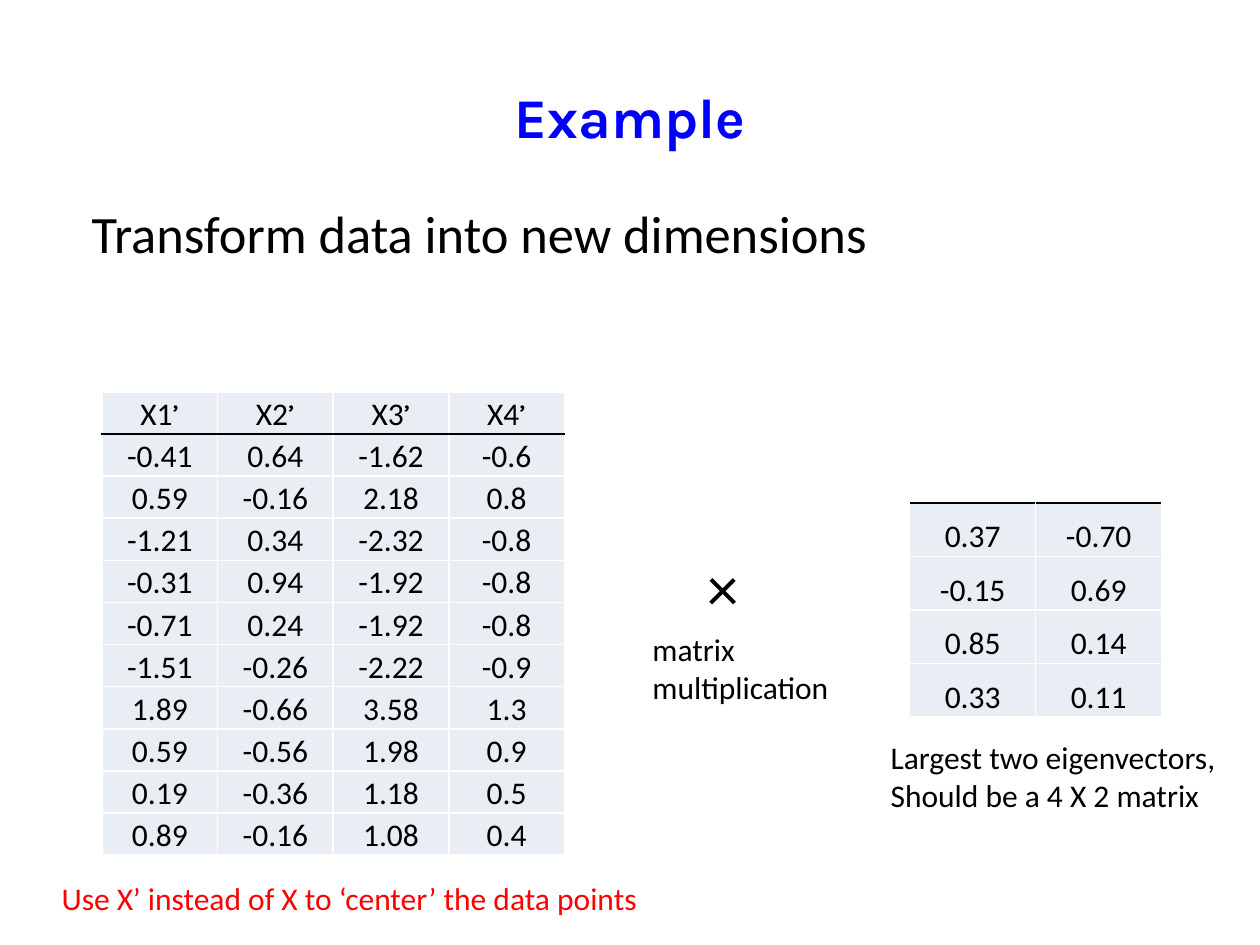
from pptx import Presentation
from pptx.dml.color import RGBColor as RGB
from pptx.enum.text import MSO_ANCHOR as Anchor, MSO_AUTO_SIZE as Auto, PP_ALIGN as Align
from pptx.oxml import parse_xml
from pptx.oxml.ns import nsdecls
from pptx.util import Inches, Pt

COLORS = {"title": "0000FF", "text": "000000", "note": "FF0000",
          "cell": "E9EDF4", "grid": "FFFFFF", "rule": "000000"}
BODY, HEAD = "Calibri", "Karla"

DATA = [
    ["X1’", "X2’", "X3’", "X4’"],
    ["-0.41", "0.64", "-1.62", "-0.6"],
    ["0.59", "-0.16", "2.18", "0.8"],
    ["-1.21", "0.34", "-2.32", "-0.8"],
    ["-0.31", "0.94", "-1.92", "-0.8"],
    ["-0.71", "0.24", "-1.92", "-0.8"],
    ["-1.51", "-0.26", "-2.22", "-0.9"],
    ["1.89", "-0.66", "3.58", "1.3"],
    ["0.59", "-0.56", "1.98", "0.9"],
    ["0.19", "-0.36", "1.18", "0.5"],
    ["0.89", "-0.16", "1.08", "0.4"],
]
VECTORS = [["0.37", "-0.70"], ["-0.15", "0.69"], ["0.85", "0.14"], ["0.33", "0.11"]]


def style(run, size=18, color="text", font=BODY, bold=False):
    run.font.size = Pt(size)
    run.font.name = font
    run.font.bold = bold
    run.font.color.rgb = RGB.from_string(COLORS[color])


def add_text(slide, box, text, wrap=True, align=Align.LEFT, anchor=Anchor.TOP,
             grow=True, **look):
    frame = slide.shapes.add_textbox(*map(Inches, box)).text_frame
    frame.word_wrap = wrap
    frame.auto_size = Auto.SHAPE_TO_FIT_TEXT if grow else Auto.NONE
    frame.vertical_anchor = anchor
    frame.text = text
    for para in frame.paragraphs:
        para.alignment = align
        for run in para.runs:
            style(run, **look)


def add_edge(cell, side, color):
    props = cell._tc.get_or_add_tcPr()
    line = parse_xml(
        f'<a:{side} {nsdecls("a")} w="{Pt(1)}"><a:solidFill>'
        f'<a:srgbClr val="{COLORS[color]}"/></a:solidFill></a:{side}>')
    props.append(line)


def fill_cell(cell, text, top, bottom):
    cell.margin_left = cell.margin_top = cell.margin_right = Inches(0.01)
    cell.margin_bottom = 0
    cell.vertical_anchor = Anchor.BOTTOM
    for side, color in (("lnL", "grid"), ("lnR", "grid"), ("lnT", top), ("lnB", bottom)):
        add_edge(cell, side, color)
    cell.fill.solid()
    cell.fill.fore_color.rgb = RGB.from_string(COLORS["cell"])
    para = cell.text_frame.paragraphs[0]
    para.alignment = Align.CENTER
    para.text = text.rstrip("’")
    style(para.runs[0])
    if text.endswith("’"):
        prime = para.add_run()
        prime.text = "’"
        style(prime, font=HEAD)


def add_grid(slide, box, rows, ruled):
    count, width = len(rows), len(rows[0])
    table = slide.shapes.add_table(count, width, *map(Inches, box)).table
    table.first_row = table.horz_banding = False
    for col in table.columns:
        col.width = Inches(box[2] / width)
    for row in table.rows:
        row.height = Inches(box[3] / count)
    for r, row in enumerate(rows):
        top = "rule" if r == ruled else "grid"
        bottom = "rule" if r + 1 == ruled else "grid"
        for c, text in enumerate(row):
            fill_cell(table.cell(r, c), text, top, bottom)


def main():
    deck = Presentation()
    deck.slide_width, deck.slide_height = Inches(10), Inches(7.5)
    slide = deck.slides.add_slide(deck.slide_layouts[6])
    add_text(slide, (0.5, 0.3, 9, 1.25), "Example", align=Align.CENTER,
             anchor=Anchor.MIDDLE, grow=False, size=32, color="title",
             font=HEAD, bold=True)
    add_text(slide, (0.63, 1.55, 7.7, 0.61), "Transform data into new dimensions", size=30)
    add_grid(slide, (7.22, 3.99, 2, 1.7), VECTORS, 0)
    add_grid(slide, (0.81, 3.11, 3.67, 3.68), DATA, 1)
    add_text(slide, (5.52, 4.3, 0.49, 0.71), "×", size=36)
    add_text(slide, (6.97, 5.81, 2.81, 0.71),
             "Largest two eigenvectors,\nShould be a 4 X 2 matrix", wrap=False)
    add_text(slide, (0.39, 6.93, 4.81, 0.4),
             "Use X’ instead of X to ‘center’ the data points", wrap=False, color="note")
    add_text(slide, (5.08, 4.95, 1.73, 0.71), "matrix multiplication")
    deck.save("out.pptx")


if __name__ == "__main__":
    main()
